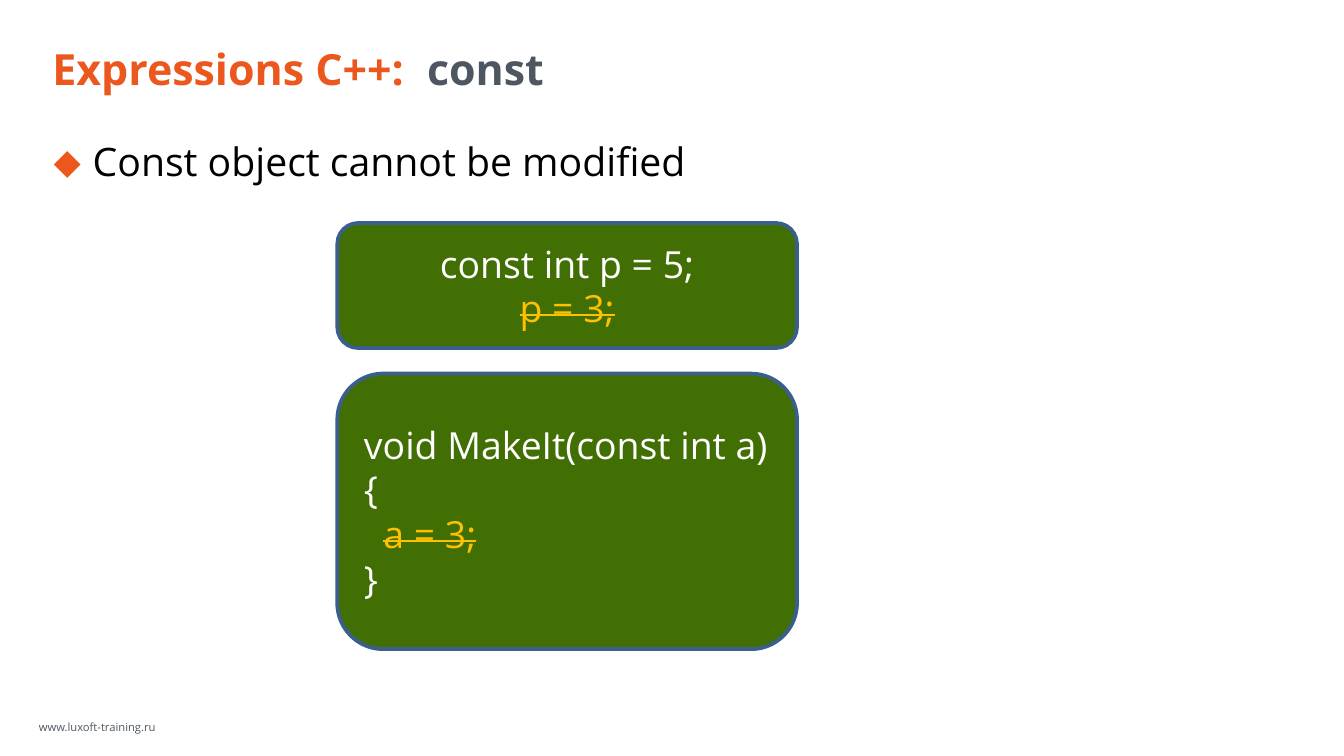
from lxml import etree
from pptx import Presentation
from pptx.dml.color import RGBColor
from pptx.enum.shapes import MSO_SHAPE
from pptx.enum.text import MSO_ANCHOR, PP_ALIGN
from pptx.oxml.ns import qn
from pptx.util import Inches, Pt

ROUNDED = MSO_SHAPE.ROUNDED_RECTANGLE
TOP, MIDDLE = MSO_ANCHOR.TOP, MSO_ANCHOR.MIDDLE
LEFT, CENTER = PP_ALIGN.LEFT, PP_ALIGN.CENTER

FONT = "Open Sans"
COLORS = {
    "accent": "EB571C",
    "slate": "4E5761",
    "body": "000000",
    "code": "FFFFFF",
    "error": "FFC000",
    "panel": "426F04",
    "border": "3A5F8C",
}

# Each paragraph is a list of (text, color name) runs; "error" runs are struck out.
FOOTER = [[("www.luxoft-training.ru", "slate")]]
TITLE = [[("Expressions C++:  ", "accent"), ("const", "slate")]]
STATEMENT = [[("Const object cannot be modified", "body")]]
CODE_PANELS = [
    # height, alignment, paragraphs
    (0.93, CENTER, [[("const int p = 5;", "code")], [("p = 3;", "error")]]),
    (2.05, LEFT, [
        [("void MakeIt(const int a)", "code")],
        [("{", "code")],
        [("  ", "code"), ("a = 3;", "error")],
        [("}", "code")],
    ]),
]

WIDTH = 10
HEIGHT = WIDTH * 9 / 16
MARGIN = 0.31
CONTENT_WIDTH = WIDTH - 2 * MARGIN
PANEL_LEFT, PANEL_TOP, PANEL_WIDTH, PANEL_GAP = 2.51, 1.66, 3.42, 0.19


def color(name):
    return RGBColor.from_string(COLORS[name])


def write(shape, paragraphs, size, anchor=TOP, align=LEFT, insets=(0.08, 0.04),
          bold=False, wrap=True):
    frame = shape.text_frame
    frame.word_wrap = wrap
    frame.vertical_anchor = anchor
    frame.margin_left = frame.margin_right = Inches(insets[0])
    frame.margin_top = frame.margin_bottom = Inches(insets[1])
    for index, runs in enumerate(paragraphs):
        paragraph = frame.add_paragraph() if index else frame.paragraphs[0]
        paragraph.alignment = align
        for text, color_name in runs:
            run = paragraph.add_run()
            run.text = text
            run.font.name = FONT
            run.font.size = Pt(size)
            run.font.bold = bold
            run.font.color.rgb = color(color_name)
            if color_name == "error":
                run.font._element.set("strike", "sngStrike")


def add_bullet(paragraph, symbol, color_name):
    properties = paragraph._p.get_or_add_pPr()
    properties.set("marL", str(Inches(0.3)))
    properties.set("indent", str(Inches(-0.29)))
    bullet_color = etree.SubElement(properties, qn("a:buClr"))
    etree.SubElement(bullet_color, qn("a:srgbClr"), val=COLORS[color_name])
    etree.SubElement(properties, qn("a:buFont"), typeface=FONT)
    etree.SubElement(properties, qn("a:buChar"), char=symbol)


def add_text(slide, left, top, width, height, paragraphs, size, **style):
    box = slide.shapes.add_textbox(*map(Inches, (left, top, width, height)))
    write(box, paragraphs, size, **style)
    return box


def add_code_panel(slide, top, height, align, paragraphs):
    panel = slide.shapes.add_shape(
        ROUNDED, *map(Inches, (PANEL_LEFT, top, PANEL_WIDTH, height)))
    panel.shadow.inherit = False
    panel.fill.solid()
    panel.fill.fore_color.rgb = color("panel")
    panel.line.color.rgb = color("border")
    panel.line.width = Pt(2)
    write(panel, paragraphs, 20, anchor=MIDDLE, align=align, insets=(0.1, 0.05))


def main():
    presentation = Presentation()
    presentation.slide_width = Inches(WIDTH)
    presentation.slide_height = Inches(HEIGHT)
    slide = presentation.slides.add_slide(presentation.slide_layouts[6])

    add_text(slide, 0.21, 5.32, 1.06, 0.17, FOOTER, 6, wrap=False)
    add_text(slide, MARGIN, 0.3, CONTENT_WIDTH, 0.41, TITLE, 23,
             anchor=MIDDLE, bold=True)
    statement = add_text(slide, MARGIN, 0.98, CONTENT_WIDTH, 1.05, STATEMENT, 21)
    add_bullet(statement.text_frame.paragraphs[0], "⬥", "accent")

    top = PANEL_TOP
    for height, align, paragraphs in CODE_PANELS:
        add_code_panel(slide, top, height, align, paragraphs)
        top += height + PANEL_GAP

    presentation.save("out.pptx")


if __name__ == "__main__":
    main()
